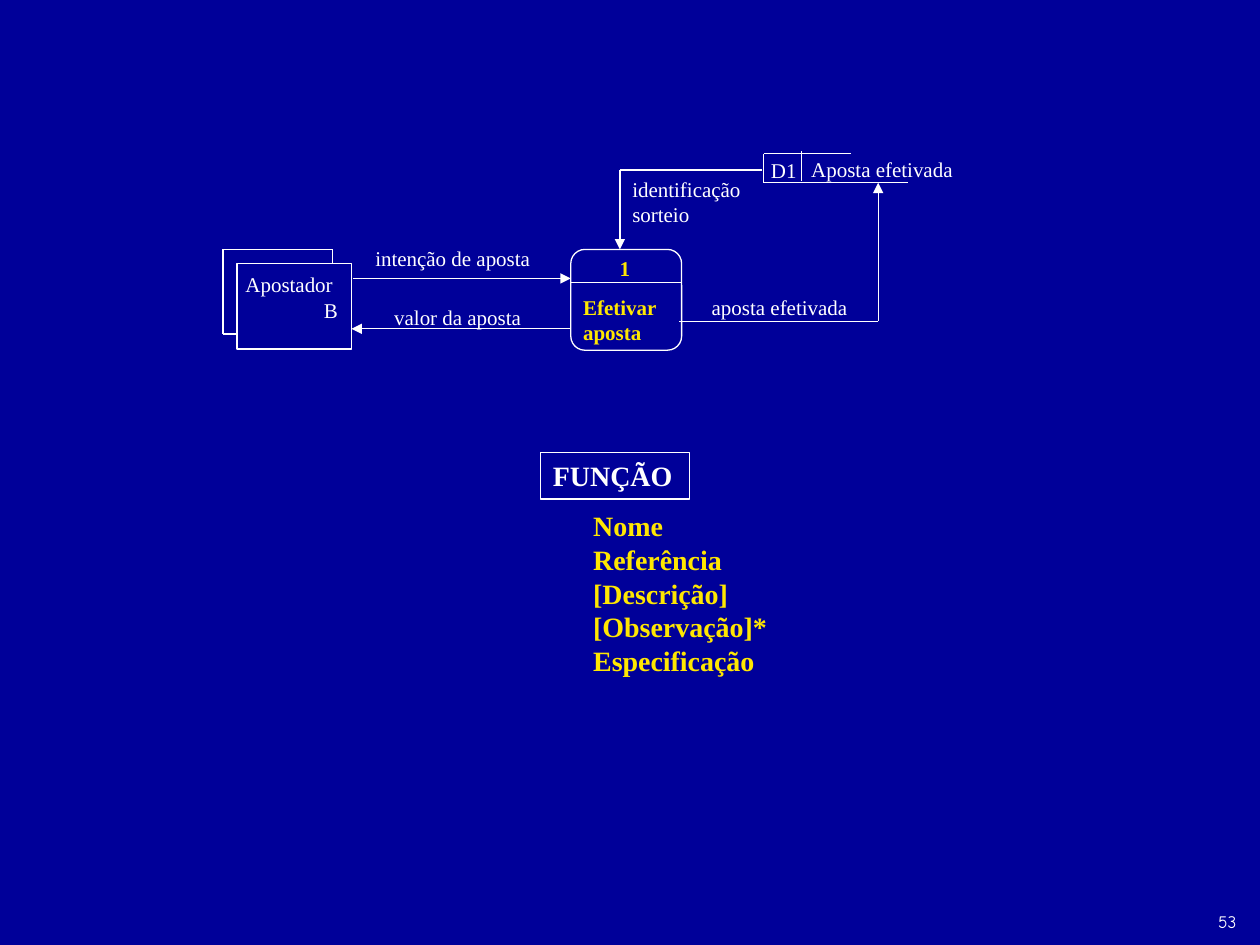
from pptx import Presentation
from pptx.dml.color import RGBColor
from pptx.enum.shapes import MSO_CONNECTOR, MSO_SHAPE
from pptx.enum.text import MSO_ANCHOR, PP_ALIGN
from pptx.oxml.ns import qn
from pptx.util import Inches, Pt
from lxml.etree import SubElement

NAVY = RGBColor(0x00, 0x00, 0x99)
WHITE = RGBColor(0xFF, 0xFF, 0xFF)
GOLD = RGBColor(0xFF, 0xE7, 0x01)
LEFT, RIGHT = PP_ALIGN.LEFT, PP_ALIGN.RIGHT


class Board:
    """Draws on one slide, with lengths in cells of a 100 by 75 grid."""

    font = "Times New Roman"
    weight = Pt(0.75)

    def __init__(self, deck):
        self.cell = deck.slide_width / 100
        self.slide = deck.slides.add_slide(deck.slide_layouts[6])
        fill = self.slide.background.fill
        fill.solid()
        fill.fore_color.rgb = NAVY

    def scale(self, *cells):
        return [round(n * self.cell) for n in cells]

    def letter(self, frame, rows, size, color, bold, font):
        frame.word_wrap = True
        frame.vertical_anchor = MSO_ANCHOR.TOP
        for i, (words, align) in enumerate(rows):
            para = frame.add_paragraph() if i else frame.paragraphs[0]
            para.alignment = align
            run = para.add_run()
            run.text = words
            run.font.name = font or self.font
            run.font.size = Pt(size)
            run.font.bold = bold
            run.font.color.rgb = color

    def text(self, area, *rows, size=12, color=WHITE, bold=False, font=None):
        box = self.slide.shapes.add_textbox(*self.scale(*area))
        pairs = [(row, LEFT) if isinstance(row, str) else row for row in rows]
        self.letter(box.text_frame, pairs, size, color, bold, font)

    def box(self, area, kind=MSO_SHAPE.RECTANGLE, curve=None, label=None):
        shape = self.slide.shapes.add_shape(kind, *self.scale(*area))
        shape.shadow.inherit = False
        shape.fill.background()
        shape.line.color.rgb = WHITE
        shape.line.width = self.weight
        if curve:
            shape.adjustments[0] = curve
        if label:
            self.letter(shape.text_frame, [(label, LEFT)], 16, WHITE, True, None)

    def line(self, *points, arrow=False):
        for start, end in zip(points, points[1:]):
            link = self.slide.shapes.add_connector(
                MSO_CONNECTOR.STRAIGHT, *self.scale(*start, *end))
            link.line.color.rgb = WHITE
            link.line.width = self.weight
            props = link._element.spPr
            SubElement(props, qn("a:effectLst"))
        if arrow:
            SubElement(props.find(qn("a:ln")), qn("a:tailEnd"), type="triangle")


deck = Presentation()
deck.slide_width, deck.slide_height = Inches(10), Inches(7.5)
board = Board(deck)

board.text((18.5, 21.1, 9.3, 5), "Apostador", ("B", RIGHT))
board.box((18.8, 20.9, 9.1, 6.8))
board.line((26.4, 20.9), (26.4, 19.8), (17.7, 19.8), (17.7, 26.5), (18.8, 26.5))

board.text((63.4, 11.9, 15.7, 3), "Aposta efetivada")
board.text((60.2, 12, 4.9, 3), "D1")
board.line((67.5, 12.2), (60.6, 12.2), (60.6, 14.5), (72.1, 14.5))
board.line((63.6, 12), (63.6, 14.4))

board.box((45.3, 19.8, 8.8, 8), MSO_SHAPE.ROUNDED_RECTANGLE, curve=0.14)
board.line((45.3, 22.4), (54.1, 22.4))
board.text((48.2, 19.8, 4.2, 3), "1", color=GOLD, bold=True)
board.text((45.3, 22.9, 9, 5), "Efetivar aposta", color=GOLD, bold=True)

board.text((28.8, 19, 16.5, 3), "intenção de aposta")
board.line((28, 22.1), (45.3, 22.1), arrow=True)
board.text((30.3, 23.7, 16.5, 3), "valor da aposta")
board.line((45.3, 26.1), (27.9, 26.1), arrow=True)
board.text((49.2, 13.5, 12.6, 5), "identificação sorteio")
board.line((60.5, 13.5), (49.2, 13.5), (49.2, 19.8), arrow=True)
board.text((55.5, 22.9, 14.2, 3), "aposta efetivada")
board.line((53.9, 25.5), (69.7, 25.5), (69.7, 14.5), arrow=True)

board.box((42.9, 35.9, 11.8, 3.7), label="FUNÇÃO")
board.text((46.1, 39.9, 17.3, 14.4), "Nome", "Referência", "[Descrição]",
           "[Observação]*", "Especificação", size=16, color=GOLD, bold=True)
board.text((95.7, 71.8, 3.9, 2.7), "53", size=10, font="Comic Neue")

deck.save("out.pptx")
